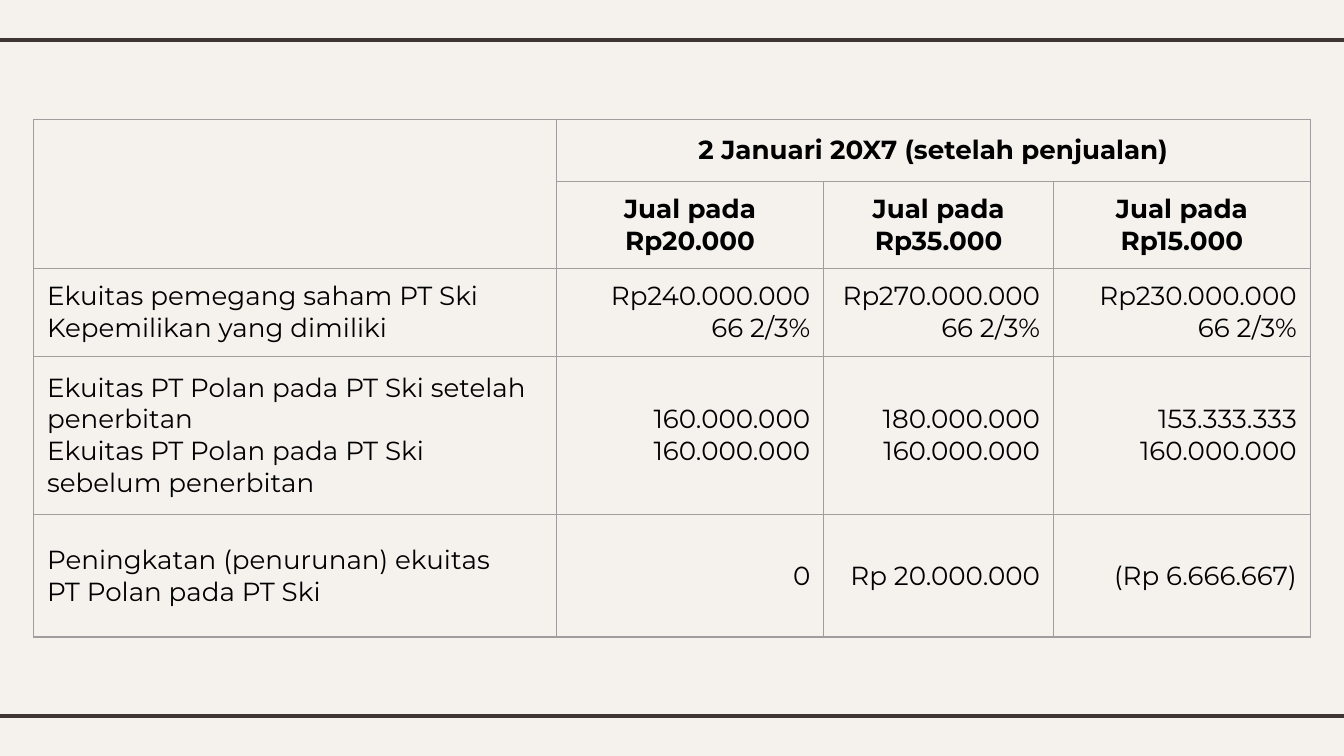
from lxml.etree import SubElement
from pptx import Presentation
from pptx.dml.color import RGBColor
from pptx.enum.shapes import MSO_CONNECTOR
from pptx.enum.text import MSO_ANCHOR, PP_ALIGN
from pptx.oxml.ns import qn
from pptx.util import Inches, Pt

COLORS = {"paper": "F5F2EE", "rule": "3F3533", "grid": "9E9E9E", "text": "000000"}
FONT = "Montserrat"
WIDTH = 10
HEIGHT = WIDTH * 9 / 16
OVERHANG = 0.08
RULE_HEIGHTS = (0.3, 5.33)

TABLE_LEFT, TABLE_TOP = 0.25, 0.89
COLUMN_WIDTHS = (3.89, 1.99, 1.71, 1.91)
ROW_HEIGHTS = (0.46, 0.65, 0.65, 1.18, 0.91)

PERIOD = "2 Januari 20X7 (setelah penjualan)"
SALE_PRICES = ("Rp20.000", "Rp35.000", "Rp15.000")
# Each row: label lines, then the value lines of the three sale prices
EQUITY_ROWS = (
    (("Ekuitas pemegang saham PT Ski", "Kepemilikan yang dimiliki"),
     ("Rp240.000.000", "66 2/3%"),
     ("Rp270.000.000", "66 2/3%"),
     ("Rp230.000.000", "66 2/3%")),
    (("Ekuitas PT Polan pada PT Ski setelah penerbitan",
      "Ekuitas PT Polan pada PT Ski sebelum penerbitan"),
     ("160.000.000", "160.000.000"),
     ("180.000.000", "160.000.000"),
     ("153.333.333", "160.000.000")),
    (("Peningkatan (penurunan) ekuitas", "PT Polan pada PT Ski"),
     ("0",), ("Rp 20.000.000",), ("(Rp 6.666.667)",)),
)


def color(name):
    return RGBColor.from_string(COLORS[name])


def add_rule(slide, y):
    rule = slide.shapes.add_connector(
        MSO_CONNECTOR.STRAIGHT, Inches(-OVERHANG), Inches(y),
        Inches(WIDTH + OVERHANG), Inches(y))
    rule.line.color.rgb = color("rule")
    rule.line.width = Pt(2.25)
    SubElement(rule._element.spPr, qn("a:effectLst"))


def style_cell(cell):
    """Give the cell a thin border on all sides and no fill."""
    properties = cell._tc.get_or_add_tcPr()
    for side in ("a:lnL", "a:lnR", "a:lnT", "a:lnB"):
        border = SubElement(properties, qn(side), w=str(Pt(0.75)))
        fill = SubElement(border, qn("a:solidFill"))
        SubElement(fill, qn("a:srgbClr"), val=COLORS["grid"])
    cell.fill.background()
    cell.vertical_anchor = MSO_ANCHOR.MIDDLE


def write_cell(cell, lines, align, bold=False):
    frame = cell.text_frame
    for index, line in enumerate(lines):
        paragraph = frame.add_paragraph() if index else frame.paragraphs[0]
        paragraph.alignment = align
        run = paragraph.add_run()
        run.text = line
        run.font.name = FONT
        run.font.size = Pt(14)
        run.font.bold = bold
        run.font.color.rgb = color("text")


def add_equity_table(slide):
    equity = slide.shapes.add_table(
        len(ROW_HEIGHTS), len(COLUMN_WIDTHS), Inches(TABLE_LEFT), Inches(TABLE_TOP),
        Inches(sum(COLUMN_WIDTHS)), Inches(sum(ROW_HEIGHTS))).table
    equity.first_row = equity.horz_banding = False
    for column, width in zip(equity.columns, COLUMN_WIDTHS):
        column.width = Inches(width)
    for row, height in zip(equity.rows, ROW_HEIGHTS):
        row.height = Inches(height)
    for cell in equity.iter_cells():
        style_cell(cell)

    # Two header rows
    equity.cell(0, 0).merge(equity.cell(1, 0))
    equity.cell(0, 1).merge(equity.cell(0, 3))
    write_cell(equity.cell(0, 1), [PERIOD], PP_ALIGN.CENTER, bold=True)
    for column, price in enumerate(SALE_PRICES, start=1):
        write_cell(equity.cell(1, column), ["Jual pada", price], PP_ALIGN.CENTER, bold=True)

    # Labels on the left, amounts aligned right
    for row, entries in enumerate(EQUITY_ROWS, start=2):
        for column, lines in enumerate(entries):
            align = PP_ALIGN.RIGHT if column else PP_ALIGN.LEFT
            write_cell(equity.cell(row, column), lines, align)


def main():
    deck = Presentation()
    deck.slide_width, deck.slide_height = Inches(WIDTH), Inches(HEIGHT)
    slide = deck.slides.add_slide(deck.slide_layouts[6])
    slide.background.fill.solid()
    slide.background.fill.fore_color.rgb = color("paper")

    for y in RULE_HEIGHTS:
        add_rule(slide, y)
    add_equity_table(slide)
    deck.save("out.pptx")


if __name__ == "__main__":
    main()
